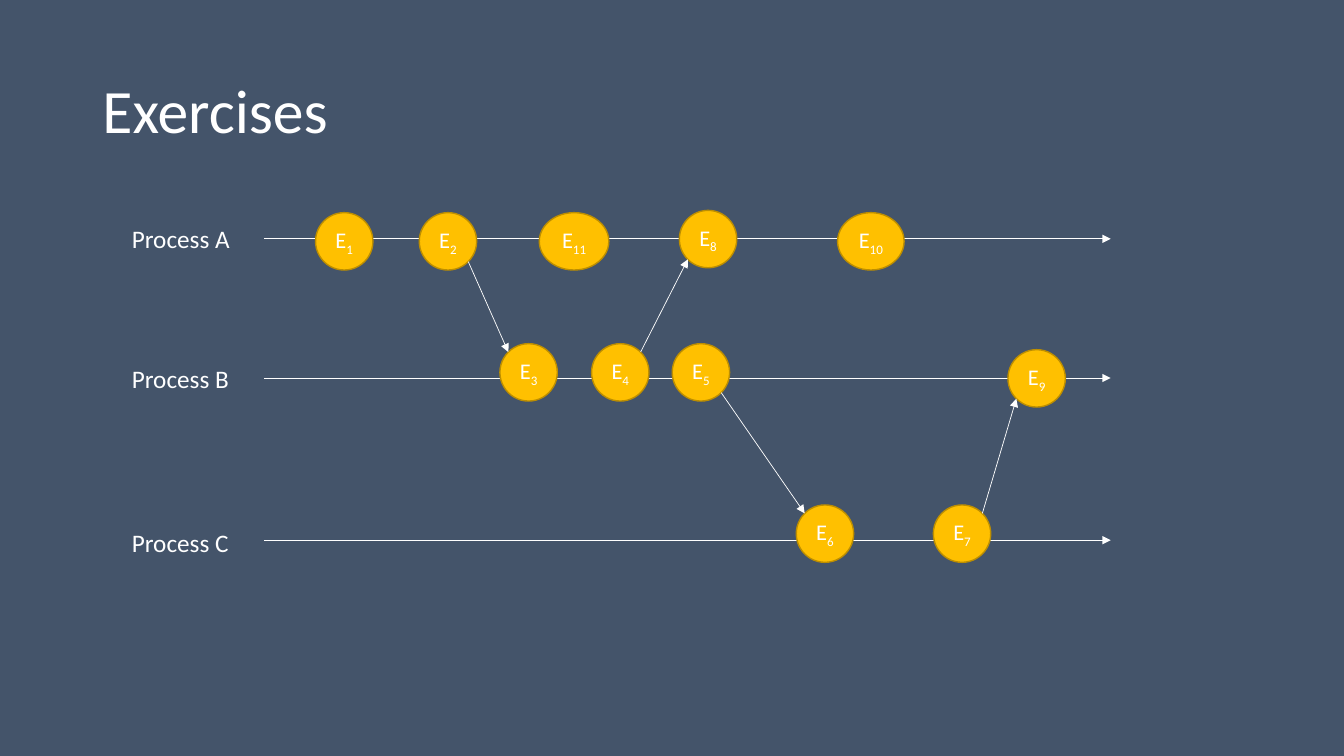
from math import sqrt

from lxml import etree
from pptx import Presentation
from pptx.dml.color import RGBColor
from pptx.enum import shapes, text
from pptx.oxml import ns
from pptx.util import Pt

SLATE = RGBColor(0x44, 0x54, 0x6A)
WHITE = RGBColor(0xFF, 0xFF, 0xFF)
GOLD = RGBColor(0xFF, 0xC0, 0x00)
DARK_GOLD = RGBColor(0xBD, 0x8E, 0x00)

AXIS_LEFT, AXIS_RIGHT = 188.6, 793.4
EVENT_SIZE = 41

PROCESSES = [
    ("Process A", 170.6, 156.2),
    ("Process B", 270, 255.6),
    ("Process C", 385.9, 373),
]
EVENTS = [
    (1, 225.4, 151.9, EVENT_SIZE),
    (2, 299.5, 151.9, EVENT_SIZE),
    (3, 357.1, 245.5, EVENT_SIZE),
    (4, 422.6, 245.5, EVENT_SIZE),
    (5, 480.2, 245.5, EVENT_SIZE),
    (6, 568.8, 360.7, EVENT_SIZE),
    (7, 666.7, 360.7, EVENT_SIZE),
    (8, 485.3, 150.3, EVENT_SIZE),
    (9, 720, 249.8, EVENT_SIZE),
    (10, 598.3, 151.9, 47.5),
    (11, 385.2, 151.9, 49.7),
]
MESSAGES = [(2, 3), (4, 8), (5, 6), (7, 9)]


def add_run(p, content, size=18, baseline=None):
    r = p.add_run()
    r.text = content
    r.font.name = "Calibri"
    r.font.size = Pt(size)
    r.font.color.rgb = WHITE
    if baseline is not None:
        r._r.get_or_add_rPr().set("baseline", str(baseline * 1000))


def add_title(s, content):
    sp = s.shapes.title
    sp.left, sp.top, sp.width, sp.height = Pt(66), Pt(28.8), Pt(828), Pt(104.4)
    sp.text_frame.vertical_anchor = text.MSO_ANCHOR.MIDDLE
    p = sp.text_frame.paragraphs[0]
    p.alignment = text.PP_ALIGN.LEFT
    p.line_spacing = 0.9
    add_run(p, content, size=44)


def add_label(s, content, top):
    sp = s.shapes.add_textbox(Pt(87.1), Pt(top), Pt(84.6), Pt(29))
    sp.text_frame.word_wrap = False
    add_run(sp.text_frame.paragraphs[0], content)


def add_arrow(s, x1, y1, x2, y2):
    line = s.shapes.add_connector(shapes.MSO_CONNECTOR.STRAIGHT, x1, y1, x2, y2)
    line.line.color.rgb = WHITE
    line.line.width = Pt(0.5)
    tail = etree.SubElement(line.line._get_or_add_ln(), ns.qn("a:tailEnd"))
    tail.set("type", "triangle")
    etree.SubElement(line._element.spPr, ns.qn("a:effectLst"))


def add_event(s, number, left, top, width):
    sp = s.shapes.add_shape(
        shapes.MSO_SHAPE.OVAL, Pt(left), Pt(top), Pt(width), Pt(EVENT_SIZE))
    sp.shadow.inherit = False
    sp.fill.solid()
    sp.fill.fore_color.rgb = GOLD
    sp.line.color.rgb = DARK_GOLD
    sp.line.width = Pt(1)
    sp.text_frame.vertical_anchor = text.MSO_ANCHOR.MIDDLE
    p = sp.text_frame.paragraphs[0]
    p.alignment = text.PP_ALIGN.CENTER
    add_run(p, "E", size=16)
    add_run(p, str(number), size=16, baseline=-25)
    return sp


def rim_point(sp, right, down):
    x = sp.left + sp.width / 2 * (1 + right / sqrt(2))
    y = sp.top + sp.height / 2 * (1 + down / sqrt(2))
    return int(x), int(y)


def add_message(s, sender, receiver):
    down = 1 if receiver.top > sender.top else -1
    add_arrow(s, *rim_point(sender, 1, down), *rim_point(receiver, -1, -down))


def main():
    prs = Presentation()
    prs.slide_width, prs.slide_height = Pt(960), Pt(540)
    s = prs.slides.add_slide(prs.slide_layouts[5])
    s.background.fill.solid()
    s.background.fill.fore_color.rgb = SLATE

    add_title(s, "Exercises")
    for name, axis, label_top in PROCESSES:
        add_label(s, name, label_top)
        add_arrow(s, Pt(AXIS_LEFT), Pt(axis), Pt(AXIS_RIGHT), Pt(axis))
    events = {event[0]: add_event(s, *event) for event in EVENTS}
    for sender, receiver in MESSAGES:
        add_message(s, events[sender], events[receiver])

    prs.save("out.pptx")


main()
